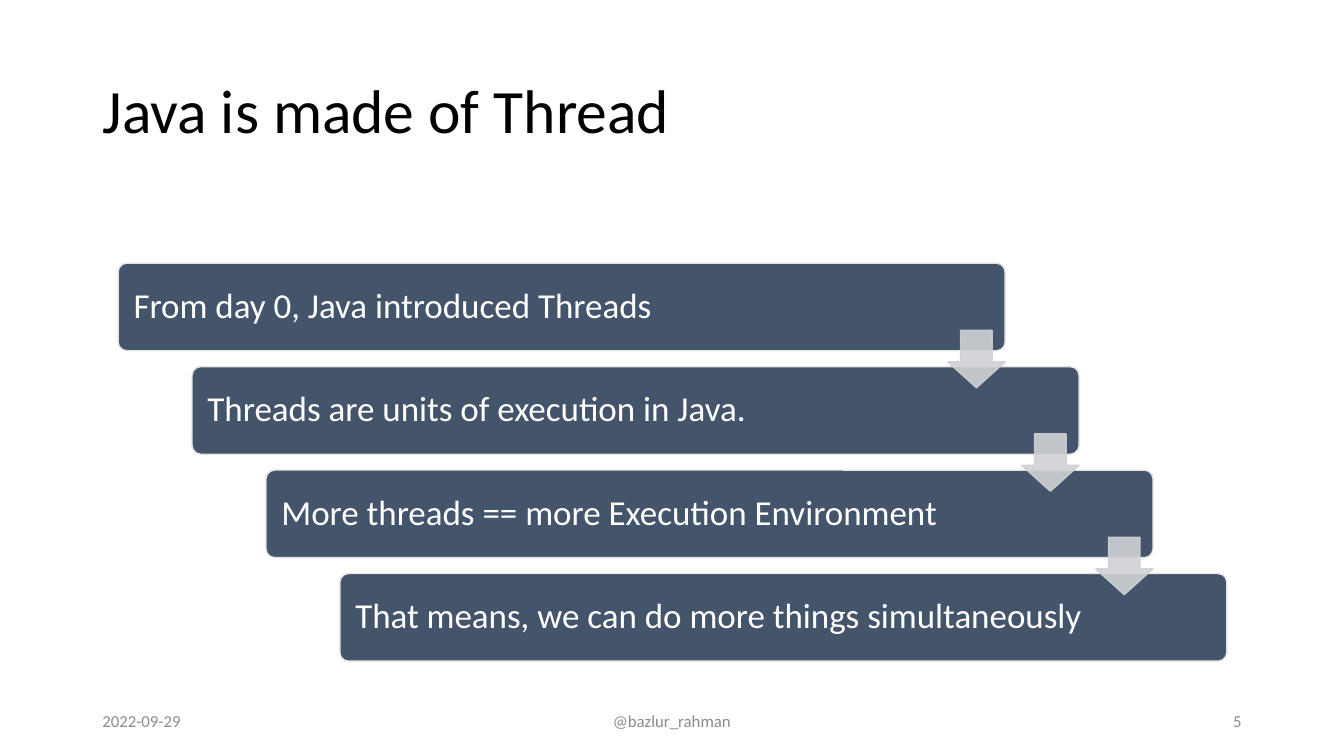
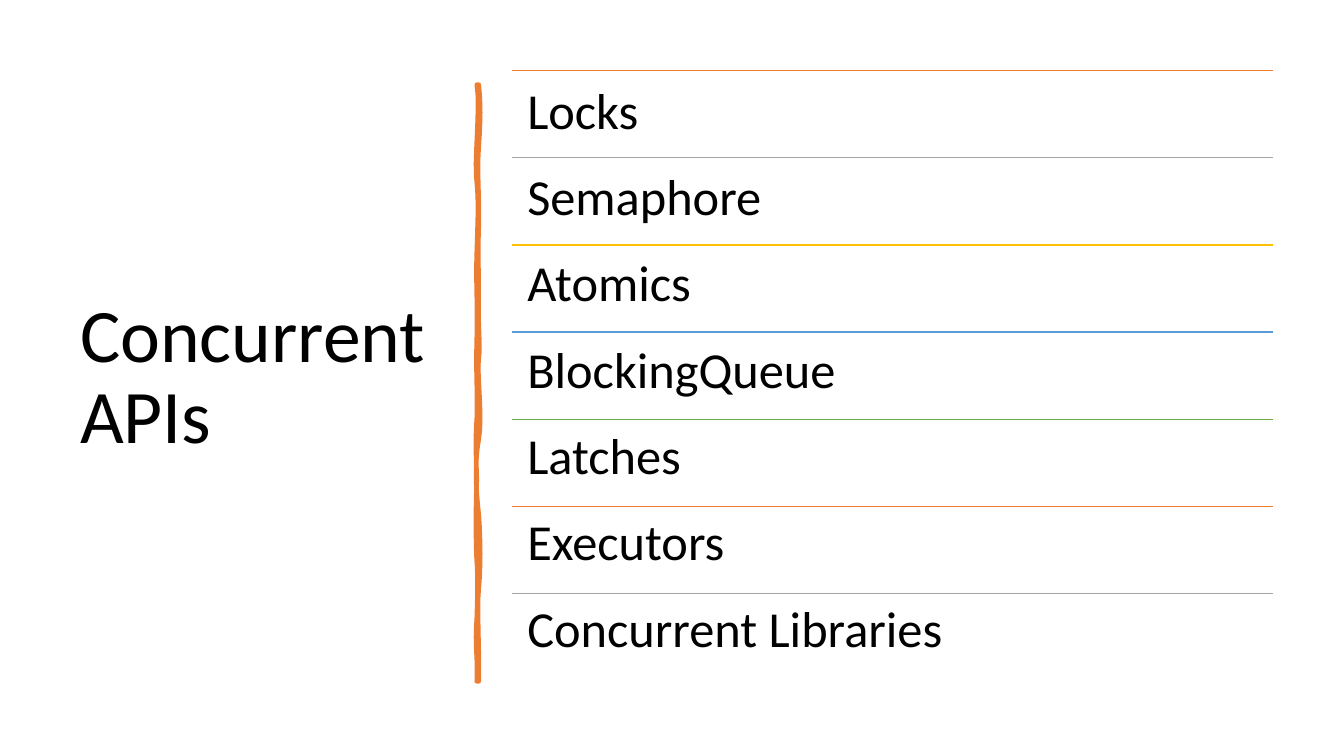
"""Build two slides on Java threads and the concurrent APIs."""
from lxml import etree
from pptx import Presentation
from pptx.dml.color import RGBColor
from pptx.enum import shapes, text
from pptx.oxml.ns import qn
from pptx.util import Pt


class Theme:
    font = "Calibri"
    ink = RGBColor.from_string("000000")
    white = RGBColor.from_string("FFFFFF")
    slate = RGBColor.from_string("44546A")
    edge = RGBColor.from_string("E7E6E6")
    arrow = RGBColor.from_string("CFD1D4")
    footer = RGBColor.from_string("8C8C8C")
    orange = RGBColor.from_string("ED7D31")
    rules = [RGBColor.from_string(code) for code in
             ("ED7D31", "A5A5A5", "FFC000", "5B9BD5", "70AD47")]
    title_size, large_title_size = 44, 54
    step_size, list_size, footer_size = 25, 36, 12


def write(para, words, size, colour, align=text.PP_ALIGN.LEFT, spacing=0.9):
    para.alignment = align
    para.line_spacing = spacing
    span = para.add_run()
    span.text = words
    span.font.name = Theme.font
    span.font.size = Pt(size)
    span.font.color.rgb = colour


def add_page(layout, words, bounds, size):
    page = deck.slides.add_slide(deck.slide_layouts[layout])
    title = page.shapes.title
    title.left, title.top, title.width, title.height = map(Pt, bounds)
    title.text_frame.auto_size = text.MSO_AUTO_SIZE.NONE
    title.text_frame.vertical_anchor = text.MSO_ANCHOR.MIDDLE
    write(title.text_frame.paragraphs[0], words, size, Theme.ink)
    return page


deck = Presentation()
deck.slide_width, deck.slide_height = Pt(960), Pt(540)

page = add_page(5, "Java is made of Thread", (66, 28.8, 828, 104.4), Theme.title_size)
steps = [
    "From day 0, Java introduced Threads",
    "Threads are units of execution in Java.",
    "More threads == more Execution Environment",
    "That means, we can do more things simultaneously",
]
step_right, step_down = 52.8, 73.9
for index, words in enumerate(steps):
    box = page.shapes.add_shape(
        shapes.MSO_SHAPE.ROUNDED_RECTANGLE,
        Pt(84.4 + index * step_right), Pt(188 + index * step_down), Pt(633.6), Pt(62.6))
    box.adjustments[0] = 0.1
    box.shadow.inherit = False
    box.fill.solid()
    box.fill.fore_color.rgb = Theme.slate
    box.line.color.rgb = Theme.edge
    box.line.width = Pt(1)
    box.text_frame.margin_left = Pt(9.2)
    box.text_frame.vertical_anchor = text.MSO_ANCHOR.MIDDLE
    write(box.text_frame.paragraphs[0], words, Theme.step_size, Theme.white)

for index in range(len(steps) - 1):
    arrow = page.shapes.add_shape(
        shapes.MSO_SHAPE.DOWN_ARROW,
        Pt(677 + index * step_right), Pt(236 + index * step_down), Pt(41), Pt(41))
    arrow.adjustments[0], arrow.adjustments[1] = 0.55, 0.45
    arrow.shadow.inherit = False
    arrow.fill.solid()
    arrow.fill.fore_color.rgb = Theme.arrow
    arrow.line.color.rgb = Theme.arrow
    arrow.line.width = Pt(1)
    for colour in arrow._element.spPr.iter(qn("a:srgbClr")):
        etree.SubElement(colour, qn("a:alpha")).set("val", "90000")

footers = [
    (66, 216, "2022-09-29", text.PP_ALIGN.LEFT),
    (318, 324, "@bazlur_rahman", text.PP_ALIGN.CENTER),
    (678, 216, "5", text.PP_ALIGN.RIGHT),
]
for left, width, words, align in footers:
    box = page.shapes.add_textbox(Pt(left), Pt(500.5), Pt(width), Pt(28.8))
    box.text_frame.word_wrap = True
    box.text_frame.vertical_anchor = text.MSO_ANCHOR.MIDDLE
    write(box.text_frame.paragraphs[0], words, Theme.footer_size, Theme.footer, align, 1)

page = add_page(1, "Concurrent APIs", (50, 50.4, 269, 440), Theme.large_title_size)

right_edge = [
    (342, 60.5), (343.4, 73.4), (343.4, 85.7), (342, 105.1), (340.6, 124.6),
    (342.7, 140.4), (342, 162.7), (341.3, 185), (342, 188.6), (342, 211.7),
    (341.3, 234), (343.4, 246.2), (342, 256.3), (340.6, 266.4), (344.9, 298.1),
    (342, 313.9), (339.1, 329), (339.8, 348.5), (342, 367.2), (343.4, 385.9),
    (343.4, 406.1), (342, 420.5), (340.6, 434.2), (342.7, 468), (342, 486.7),
]
left_edge = [
    (340.6, 486.7), (341.3, 465.1), (339.1, 463.7), (340.6, 441.4), (341.3, 419.8),
    (341.3, 410.4), (340.6, 401), (339.8, 391.7), (339.8, 356.4), (340.6, 343.4),
    (340.6, 330.5), (339.1, 320.4), (340.6, 298.8), (341.3, 277.9), (339.8, 268.6),
    (340.6, 241.2), (341.3, 214.6), (339.8, 202.3), (340.6, 180), (341.3, 157),
    (342, 144), (340.6, 130.3), (338.4, 117.4), (343.4, 74.9), (340.6, 60.5),
]
outline = []
for edge in (right_edge, left_edge):
    outline.append(edge[0])
    for first in range(0, len(edge) - 1, 3):
        curve = edge[first:first + 4]
        for part in range(1, 9):
            t = part / 8
            weights = ((1 - t) ** 3, 3 * t * (1 - t) ** 2, 3 * t ** 2 * (1 - t), t ** 3)
            outline.append([sum(w * point[axis] for w, point in zip(weights, curve))
                            for axis in (0, 1)])
points = [(Pt(x), Pt(y)) for x, y in outline]
builder = page.shapes.build_freeform(*points[0])
builder.add_line_segments(points[1:], close=True)
brush = builder.convert_to_shape()
brush.shadow.inherit = False
brush.fill.solid()
brush.fill.fore_color.rgb = Theme.orange
brush.line.color.rgb = Theme.orange
brush.line.width = Pt(3.25)

topics = ["Locks", "Semaphore", "Atomics", "BlockingQueue", "Latches",
          "Executors", "Concurrent Libraries"]
list_left, list_top, list_width, row_height = 365.8, 50.4, 543.6, 62.28
body = page.placeholders[1]
body.left, body.top = Pt(list_left), Pt(list_top)
body.width, body.height = Pt(list_width), Pt(row_height * len(topics))
frame = body.text_frame
frame.auto_size = text.MSO_AUTO_SIZE.NONE
frame.vertical_anchor = text.MSO_ANCHOR.TOP
frame.margin_left = frame.margin_right = frame.margin_top = frame.margin_bottom = Pt(10.8)

for index, words in enumerate(topics):
    rule_top = Pt(list_top + index * row_height)
    rule = page.shapes.add_connector(
        shapes.MSO_CONNECTOR.STRAIGHT,
        Pt(list_left), rule_top, Pt(list_left + list_width), rule_top)
    rule.line.color.rgb = Theme.rules[index % len(Theme.rules)]
    rule.line.width = Pt(1)
    etree.SubElement(rule._element.spPr, qn("a:effectLst"))

    para = frame.add_paragraph() if index else frame.paragraphs[0]
    properties = para._p.get_or_add_pPr()
    properties.set("marL", "0")
    properties.set("indent", "0")
    etree.SubElement(properties, qn("a:buNone"))
    para.space_before = Pt(0)
    para.space_after = Pt(22.75)
    write(para, words, Theme.list_size, Theme.ink)

deck.save("out.pptx")
